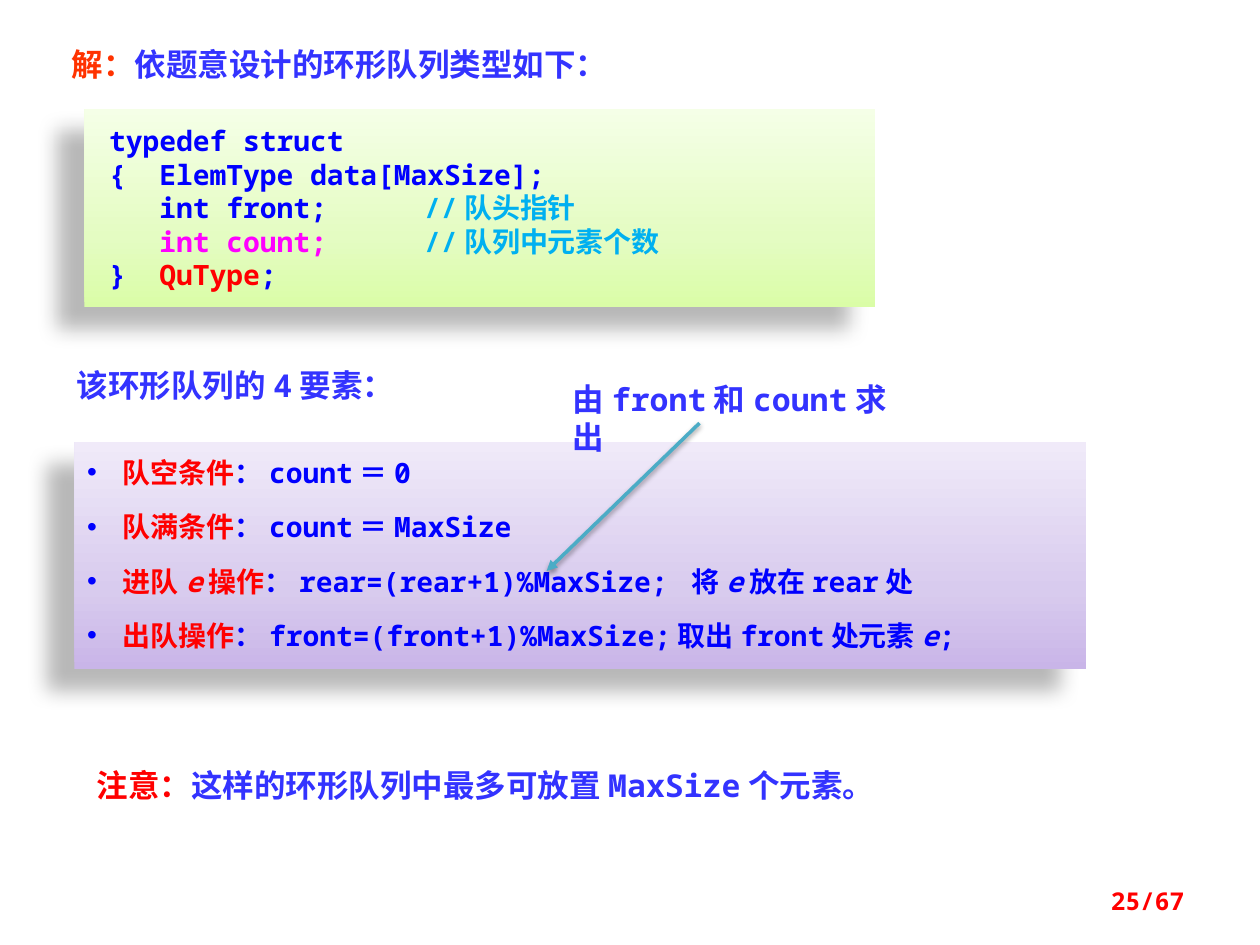
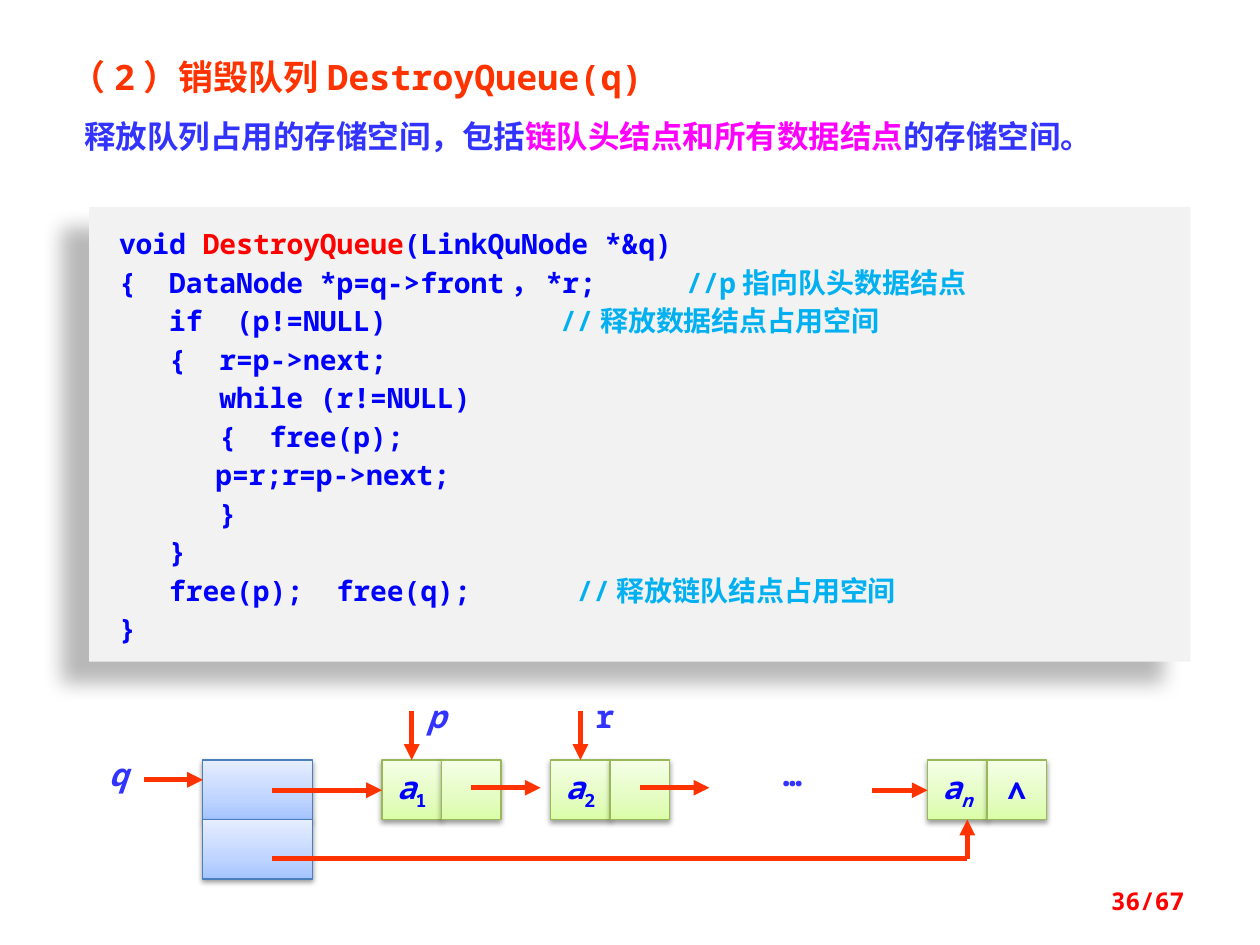
import copy
from typing import NamedTuple

import lxml.etree
import pptx
import pptx.dml.color
import pptx.enum.lang
import pptx.enum.shapes
import pptx.enum.text
import pptx.oxml.ns
import pptx.util

Cm = pptx.util.Cm
Pt = pptx.util.Pt
qn = pptx.oxml.ns.qn
ALIGN = pptx.enum.text.PP_ALIGN
ANCHOR = pptx.enum.text.MSO_ANCHOR

FONT = "Noto Sans Mono"
ORANGE, RED, PINK = "FF3300", "FF0000", "FF00FF"
INDIGO, BLUE, SKY, TEAL = "3333FF", "0000FF", "00B0F0", "4BACC6"
GREEN_FADE = ((0, "DAFDA7"), (0.35, "E4FCC2"), (1, "F5FFE7"))
PURPLE_FADE = ((0, "C9B5E8"), (0.35, "D8CBEE"), (1, "F0EAF9"))
BLUE_FADE = ((0, "A4C4FF"), (0.35, "BFD4FF"), (1, "E6EEFF"))
PAGES = 67


class Span(NamedTuple):
    text: str
    color: str = BLUE
    italic: bool = False
    lowered: bool = False


class Shadow(NamedTuple):
    alpha: int
    blur: float
    distance: float
    angle: int


class Box(NamedTuple):
    """Left, top, width and height in centimetres."""
    left: float
    top: float
    width: float
    height: float


class Arrow(NamedTuple):
    x1: float
    y1: float
    x2: float
    y2: float
    head: bool = True


class Node(NamedTuple):
    """Two-field list node: data, then next pointer."""
    left: float
    data: list
    link: list
    pointer: Span | None = None


PANEL_SHADOW = Shadow(28, 11.8, 19.7, 141)
SOFT_SHADOW = Shadow(38, 3.1, 1.6, 90)


def rgb(value: str):
    return pptx.dml.color.RGBColor.from_string(value)


def place(shape, box: Box) -> None:
    shape.left, shape.top, shape.width, shape.height = map(Cm, box)


def set_shadow(shape, shadow: Shadow | None) -> None:
    """Call after fill and line, as effects come last in spPr."""
    effects = lxml.etree.SubElement(shape.element.spPr, qn("a:effectLst"))
    if shadow:
        outer = lxml.etree.SubElement(
            effects, qn("a:outerShdw"), blurRad=str(Pt(shadow.blur)),
            dist=str(Pt(shadow.distance)), dir=str(shadow.angle * 60000),
            algn="ctr", rotWithShape="0")
        black = lxml.etree.SubElement(outer, qn("a:srgbClr"), val="000000")
        lxml.etree.SubElement(black, qn("a:alpha"), val=str(shadow.alpha * 1000))


def paint(shape, fill, line: str | None, shadow: Shadow) -> None:
    """Fill with one colour or with gradient stops that rise from the bottom."""
    if isinstance(fill, str):
        shape.fill.solid()
        shape.fill.fore_color.rgb = rgb(fill)
    else:
        shape.fill.gradient()
        shape.fill.gradient_angle = 90
        stops = shape.element.spPr.find(".//" + qn("a:gsLst"))
        stops.append(copy.deepcopy(stops[0]))
        for stop, (position, color) in zip(shape.fill.gradient_stops, fill):
            stop.position = position
            stop.color.rgb = rgb(color)
    if line:
        shape.line.color.rgb = rgb(line)
        shape.line.width = Pt(0.75)
    else:
        shape.line.fill.background()
    set_shadow(shape, shadow)


def write(shape, lines: list, size: int, align=ALIGN.LEFT, anchor=ANCHOR.TOP,
          wrap: bool = True) -> None:
    frame = shape.text_frame
    frame.word_wrap = wrap
    frame.auto_size = pptx.enum.text.MSO_AUTO_SIZE.NONE
    frame.vertical_anchor = anchor
    for number, spans in enumerate(lines):
        paragraph = frame.add_paragraph() if number else frame.paragraphs[0]
        paragraph.alignment = align
        paragraph.space_before = Pt(0)
        for span in spans:
            run = paragraph.add_run()
            run.text = span.text
            font = run.font
            font.name, font.size = FONT, Pt(size)
            font.bold, font.italic = True, span.italic
            font.color.rgb = rgb(span.color)
            font.language_id = pptx.enum.lang.MSO_LANGUAGE_ID.SIMPLIFIED_CHINESE
            properties = run._r.get_or_add_rPr()
            lxml.etree.SubElement(properties, qn("a:ea"), typeface=FONT)
            if span.lowered:
                properties.set("baseline", "-25000")


def add_text(slide, box: Box, spans: list, size: int = 18, **options) -> None:
    label = slide.shapes.add_textbox(*map(Cm, box))
    write(label, [spans], size, **options)


def add_rectangle(slide, box: Box, fill, line: str | None, shadow: Shadow):
    rectangle = slide.shapes.add_shape(
        pptx.enum.shapes.MSO_SHAPE.RECTANGLE, *map(Cm, box))
    paint(rectangle, fill, line, shadow)
    return rectangle


def add_code(slide, box: Box, fill, lines: list, inset: float,
             pitch: int | None = None) -> None:
    panel = add_rectangle(slide, box, fill, None, PANEL_SHADOW)
    frame = panel.text_frame
    frame.margin_left = Cm(inset)
    frame.margin_top = frame.margin_bottom = Cm(0.3)
    write(panel, lines, 16)
    if pitch:
        for paragraph in frame.paragraphs:
            paragraph.line_spacing = Pt(pitch)


def add_arrow(slide, arrow: Arrow, color: str = ORANGE, width: int = 3,
              shadow: Shadow | None = None) -> None:
    connector = slide.shapes.add_connector(
        pptx.enum.shapes.MSO_CONNECTOR.STRAIGHT, *map(Cm, arrow[:4]))
    connector.line.color.rgb = rgb(color)
    connector.line.width = Pt(width)
    if arrow.head:
        line = connector.element.spPr.find(qn("a:ln"))
        lxml.etree.SubElement(line, qn("a:tailEnd"), type="triangle")
    set_shadow(connector, shadow)


def add_bullets(body, lines: list) -> None:
    write(body, lines, 16)
    for number, paragraph in enumerate(body.text_frame.paragraphs):
        paragraph.line_spacing = 1.2
        paragraph.space_before = Pt(8 if number else 0)
        properties = paragraph._p.get_or_add_pPr()
        properties.set("marL", str(Cm(0.72)))
        properties.set("indent", str(-Cm(0.72)))
        color = lxml.etree.SubElement(properties, qn("a:buClr"))
        lxml.etree.SubElement(color, qn("a:srgbClr"), val=BLUE)
        lxml.etree.SubElement(properties, qn("a:buChar"), char="•")


def start_slide(deck, layout: int, page: int, title_box: Box, title: list, size: int):
    slide = deck.slides.add_slide(deck.slide_layouts[layout])
    place(slide.shapes.title, title_box)
    write(slide.shapes.title, [title], size)
    add_text(slide, Box(18.21, 17.65, 5.92, 1.02), [Span(f"{page}/{PAGES}", RED)],
             14, align=ALIGN.RIGHT, anchor=ANCHOR.MIDDLE)
    return slide


def build_ring_queue(deck) -> None:
    slide = start_slide(deck, 1, 25, Box(1.19, 0.79, 14, 1.02), [
        Span("解：", ORANGE), Span("依题意设计的环形队列类型如下：", INDIGO)], 18)

    conditions = slide.placeholders[1]
    place(conditions, Box(1.5, 8.92, 20.4, 4.57))
    paint(conditions, PURPLE_FADE, None, PANEL_SHADOW)
    add_bullets(conditions, [
        [Span("队空条件", RED), Span("：count＝0")],
        [Span("队满条件", RED), Span("：count＝MaxSize")],
        [Span("进队", RED), Span("e", RED, italic=True), Span("操作", RED),
         Span("：rear=(rear+1)%MaxSize; 将"), Span("e", italic=True),
         Span("放在rear处")],
        [Span("出队操作", RED), Span("：front=(front+1)%MaxSize;取出front处元素"),
         Span("e", italic=True), Span(";")],
    ])

    add_code(slide, Box(1.7, 2.19, 15.95, 4.01), GREEN_FADE, [
        [Span("typedef struct")],
        [Span("{  ElemType data[MaxSize];")],
        [Span("   int front;\t\t"), Span("//队头指针", SKY)],
        [Span("   "), Span("int count;\t\t", PINK), Span("//队列中元素个数", SKY)],
        [Span("}  "), Span("QuType", RED), Span(";")],
    ], inset=0.5)
    add_text(slide, Box(1.3, 7.26, 9.02, 1.02), [Span("该环形队列的4要素：", INDIGO)])
    add_text(slide, Box(1.7, 15.32, 19.94, 1.02), [
        Span("注意：", RED), Span("这样的环形队列中最多可放置MaxSize个元素。", INDIGO)])
    add_arrow(slide, Arrow(14.1, 8.53, 11.02, 11.51), TEAL, 2, SOFT_SHADOW)
    add_text(slide, Box(11.3, 7.54, 7.01, 1.02), [Span("由front和count求出", INDIGO)])


def draw_linked_queue(slide) -> None:
    top, side, head_left, head_width = 15.32, 1.2, 4.09, 2.21
    for row in range(2):
        add_rectangle(slide, Box(head_left, top + row * side, head_width, side),
                      BLUE_FADE, "4B7EBC", SOFT_SHADOW)

    def element(index: str, italic: bool = False) -> list:
        return [Span("a", italic=True), Span(index, italic=italic, lowered=True)]

    nodes = [
        Node(7.7, element("1"), [], Span("p", INDIGO, italic=True)),
        Node(11.1, element("2"), [], Span("r", INDIGO)),
        Node(18.7, element("n", italic=True), [Span("∧")]),
    ]
    for node in nodes:
        for column, spans in enumerate((node.data, node.link)):
            cell = add_rectangle(
                slide, Box(node.left + column * side, top, side, side),
                GREEN_FADE, "98B955", SOFT_SHADOW)
            if spans:
                write(cell, [spans], 18, ALIGN.CENTER, ANCHOR.MIDDLE, wrap=False)
        if node.pointer:
            middle = node.left + side / 2
            add_arrow(slide, Arrow(middle, 14.33, middle, top))
            add_arrow(slide, Arrow(node.left + 1.8, 15.88, node.left + 3.2, 15.88))
            add_text(slide, Box(node.left + 0.4, 13.92, 1.4, 1.02), [node.pointer],
                     align=ALIGN.CENTER)

    first, last, field_x, rear_x = nodes[0].left, nodes[-1].left, 5.49, 19.5
    for arrow in (
        Arrow(2.9, 15.72, head_left, 15.72),
        Arrow(field_x, 15.93, first, 15.93),
        Arrow(17.58, 15.93, last, 15.93),
        Arrow(field_x, 17.31, rear_x, 17.31, head=False),
        Arrow(rear_x, 17.31, rear_x, top + side),
    ):
        add_arrow(slide, arrow)
    add_text(slide, Box(1.78, 15.09, 1.2, 1.02), [Span("q", INDIGO, italic=True)],
             align=ALIGN.CENTER)
    add_text(slide, Box(14.88, 15.09, 2.2, 1.02), [Span("…", INDIGO)],
             align=ALIGN.CENTER)


def build_destroy_queue(deck) -> None:
    slide = start_slide(deck, 5, 36, Box(1.17, 0.99, 22, 1.1), [
        Span("（2）销毁队列DestroyQueue(q)", ORANGE)], 20)
    add_text(slide, Box(1.45, 2.24, 22.2, 1.02), [
        Span("释放队列占用的存储空间，包括", INDIGO),
        Span("链队头结点和所有数据结点", PINK), Span("的存储空间。", INDIGO)])
    add_code(slide, Box(1.8, 4.17, 22.2, 9.17), "F2F2F2", [
        [Span("void "), Span("DestroyQueue", RED), Span("(LinkQuNode *&q)")],
        [Span("{  DataNode *p=q->front，*r;  \t"), Span("//p指向队头数据结点", SKY)],
        [Span("   if  (p!=NULL)\t\t\t"), Span("//释放数据结点占用空间", SKY)],
        [Span("   {  r=p->next;")],
        [Span("      while (r!=NULL)")],
        [Span("      {  free(p);")],
        [Span("\t  p=r;r=p->next;")],
        [Span("      }")],
        [Span("   }")],
        [Span("   free(p);  free(q);\t\t"), Span(" //释放链队结点占用空间", SKY)],
        [Span("}")],
    ], inset=0.6, pitch=22)
    draw_linked_queue(slide)


def main() -> None:
    deck = pptx.Presentation()
    deck.slide_width, deck.slide_height = Cm(25.4), Cm(19.05)
    build_ring_queue(deck)
    build_destroy_queue(deck)
    deck.save("out.pptx")


if __name__ == "__main__":
    main()
